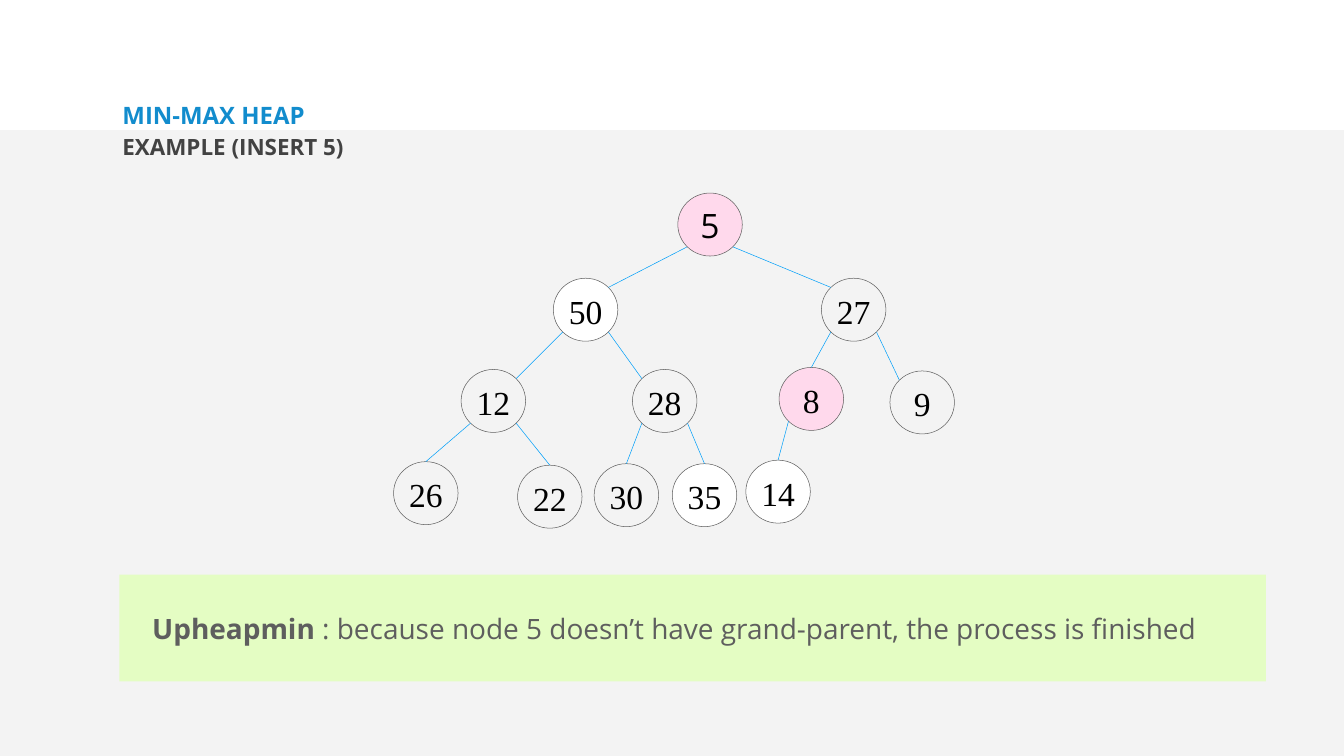
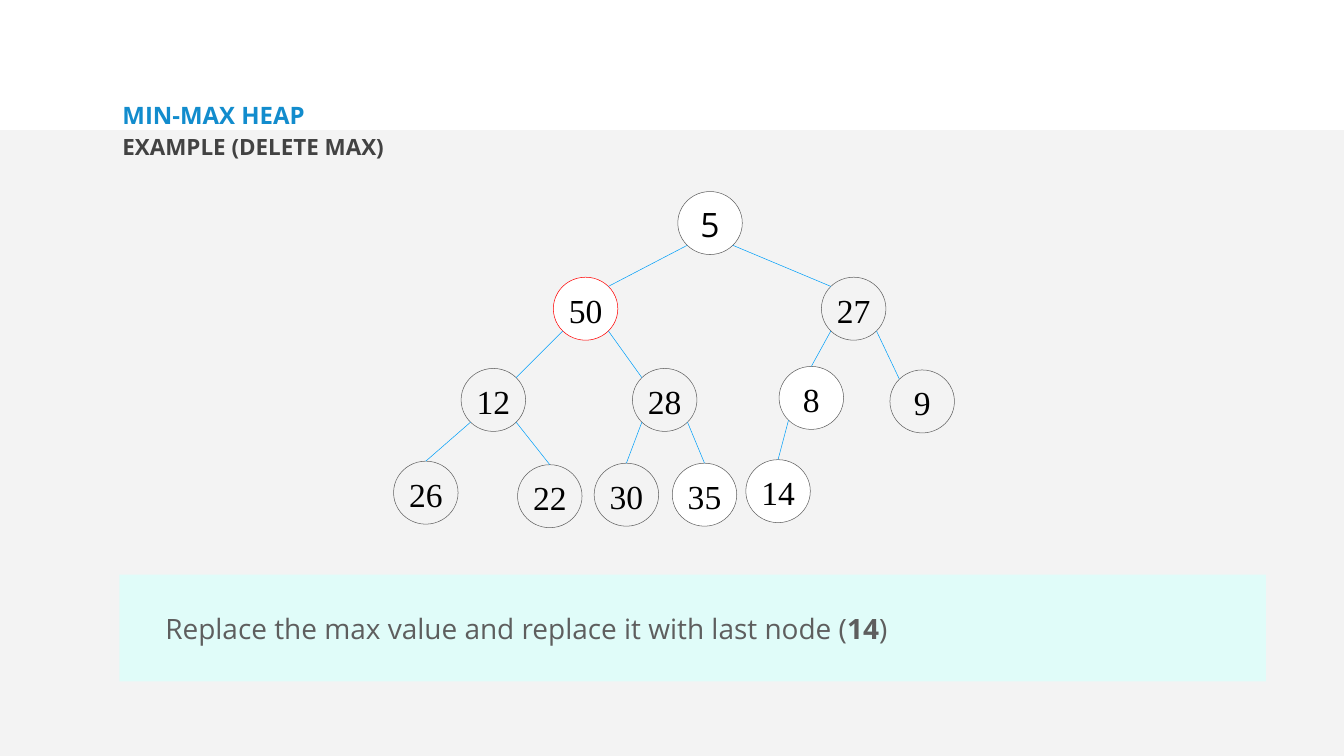
"""Build two slides that show an insert and a delete-max step on a min-max heap."""
from dataclasses import dataclass

from lxml import etree
from pptx import Presentation
from pptx.dml.color import RGBColor
from pptx.enum.shapes import MSO_CONNECTOR, MSO_SHAPE
from pptx.enum.text import MSO_ANCHOR, PP_ALIGN
from pptx.oxml.ns import qn
from pptx.util import Inches, Pt

STRAIGHT = MSO_CONNECTOR.STRAIGHT
RECTANGLE, OVAL = MSO_SHAPE.RECTANGLE, MSO_SHAPE.OVAL
TOP, MIDDLE = MSO_ANCHOR.TOP, MSO_ANCHOR.MIDDLE
LEFT, CENTER = PP_ALIGN.LEFT, PP_ALIGN.CENTER


@dataclass(frozen=True)
class Theme:
    """Colours, fonts and type sizes."""
    band: str = "F3F3F3"
    title: str = "128CCD"
    subtitle: str = "424242"
    body: str = "5E5E5E"
    number: str = "000000"
    outline: str = "5E5E5E"
    edge: str = "009EF9"
    white: str = "FFFFFF"
    pink: str = "FFD9EC"
    red: str = "FF0000"
    green: str = "E4FDC3"
    aqua: str = "E0FCF9"
    sans: str = "Open Sans"
    serif: str = "Times New Roman"
    title_size: float = 34.2
    subtitle_size: float = 32
    body_size: float = 40
    number_size: float = 48


theme = Theme()


def write_text(shape, runs, size, color, font=theme.sans, align=LEFT, anchor=MIDDLE,
               spacing=1.0, after=0, margins=(0.1, 0.05, 0.1, 0.05)):
    """Write (text, bold) runs as one formatted paragraph."""
    frame = shape.text_frame
    frame.word_wrap = True
    frame.vertical_anchor = anchor
    frame.margin_left, frame.margin_top, frame.margin_right, frame.margin_bottom = map(Inches, margins)
    paragraph = frame.paragraphs[0]
    paragraph.alignment = align
    paragraph.line_spacing = spacing
    paragraph.space_after = Pt(after)
    for text, bold in runs:
        run = paragraph.add_run()
        run.text = text
        run.font.name = font
        run.font.size = Pt(size)
        run.font.bold = bold
        run.font.color.rgb = RGBColor.from_string(color)


def add_filled(slide, kind, box, fill=None, line=None):
    """Add a flat shape with an optional fill and hairline."""
    shape = slide.shapes.add_shape(kind, *map(Inches, box))
    shape.shadow.inherit = False
    if fill:
        shape.fill.solid()
        shape.fill.fore_color.rgb = RGBColor.from_string(fill)
    else:
        shape.fill.background()
    if line:
        shape.line.color.rgb = RGBColor.from_string(line)
        shape.line.width = Pt(0)
    else:
        shape.line.fill.background()
    return shape


SLIDE_WIDTH, SLIDE_HEIGHT = 26.67, 15
BAND_TOP = 2.58
NODE_WIDTH, NODE_HEIGHT = 1.28, 1.25
NEAR, MID, FAR = 0.146, 0.5, 0.854
HEADING_MARGINS = (0.06,) * 4

# value: (level, left, top)
nodes = {
    5: (0, 13.45, 3.83),
    50: (1, 10.98, 5.52), 27: (1, 16.3, 5.52),
    12: (2, 9.15, 7.33), 28: (2, 12.55, 7.33), 8: (2, 15.46, 7.29), 9: (2, 17.66, 7.36),
    26: (3, 7.81, 9.16), 22: (3, 10.27, 9.23), 30: (3, 11.79, 9.2),
    35: (3, 13.34, 9.2), 14: (3, 14.8, 9.13),
}
# parent, side it leaves from, child, side it arrives at
edges = [
    (5, NEAR, 50, FAR), (5, FAR, 27, NEAR),
    (50, NEAR, 12, FAR), (50, FAR, 28, NEAR),
    (27, NEAR, 8, MID), (27, FAR, 9, NEAR),
    (12, NEAR, 26, MID), (12, FAR, 22, MID),
    (28, NEAR, 30, MID), (28, FAR, 35, MID),
    (8, NEAR, 14, MID),
]
steps = [
    {
        "subtitle": "EXAMPLE (INSERT 5)",
        "note": [("Upheapmin", True),
                 (" : because node 5 doesn’t have grand-parent, the process is finished", False)],
        "note_fill": theme.green,
        "note_indent": 0.65,
        "fills": {5: theme.pink, 8: theme.pink},
        "outlines": {},
        "level_shifts": (0, 0, 0, 0),
    },
    {
        "subtitle": "EXAMPLE (DELETE MAX)",
        "note": [("Replace the max value and replace it with last node (", False),
                 ("14", True), (")", False)],
        "note_fill": theme.aqua,
        "note_indent": 0.91,
        "fills": {5: theme.white, 8: theme.white},
        "outlines": {50: theme.red},
        "level_shifts": (-0.03, -0.02, -0.02, -0.01),
    },
]

presentation = Presentation()
presentation.slide_width = Inches(SLIDE_WIDTH)
presentation.slide_height = Inches(SLIDE_HEIGHT)

for step in steps:
    slide = presentation.slides.add_slide(presentation.slide_layouts[6])
    add_filled(slide, RECTANGLE, (0, BAND_TOP, SLIDE_WIDTH, SLIDE_HEIGHT - BAND_TOP), theme.band)

    title = slide.shapes.add_textbox(*map(Inches, (2.37, 2.05, 16.09, 0.56)))
    write_text(title, [("MIN-MAX HEAP", True)], theme.title_size, theme.title,
               spacing=0.8, margins=HEADING_MARGINS)
    subtitle = slide.shapes.add_textbox(*map(Inches, (2.37, 2.65, 10.68, 0.88)))
    write_text(subtitle, [(step["subtitle"], True)], theme.subtitle_size, theme.subtitle,
               anchor=TOP, spacing=0.9, margins=HEADING_MARGINS)

    note = add_filled(slide, RECTANGLE, (2.37, 11.4, 22.75, 2.12), step["note_fill"])
    write_text(note, step["note"], theme.body_size, theme.body,
               margins=(step["note_indent"], 0.05, 0.1, 0.05))

    fills = {value: theme.white for value in (50, 35, 14)} | step["fills"]
    corners = {}
    for value, (level, left, top) in nodes.items():
        top += step["level_shifts"][level]
        corners[value] = (left, top)
        node = add_filled(slide, OVAL, (left, top, NODE_WIDTH, NODE_HEIGHT),
                          fills.get(value), step["outlines"].get(value, theme.outline))
        write_text(node, [(str(value), False)], theme.number_size, theme.number,
                   font=theme.sans if level == 0 else theme.serif,
                   align=CENTER, spacing=1.05, after=8)

    for parent, leaving, child, arriving in edges:
        parent_left, parent_top = corners[parent]
        child_left, child_top = corners[child]
        arrival_depth = 0 if arriving == MID else NEAR
        ends = (parent_left + leaving * NODE_WIDTH, parent_top + FAR * NODE_HEIGHT,
                child_left + arriving * NODE_WIDTH, child_top + arrival_depth * NODE_HEIGHT)
        edge = slide.shapes.add_connector(STRAIGHT, *map(Inches, ends))
        edge.line.color.rgb = RGBColor.from_string(theme.edge)
        edge.line.width = Pt(0.75)
        etree.SubElement(edge._element.spPr, qn("a:effectLst"))

presentation.save("out.pptx")
